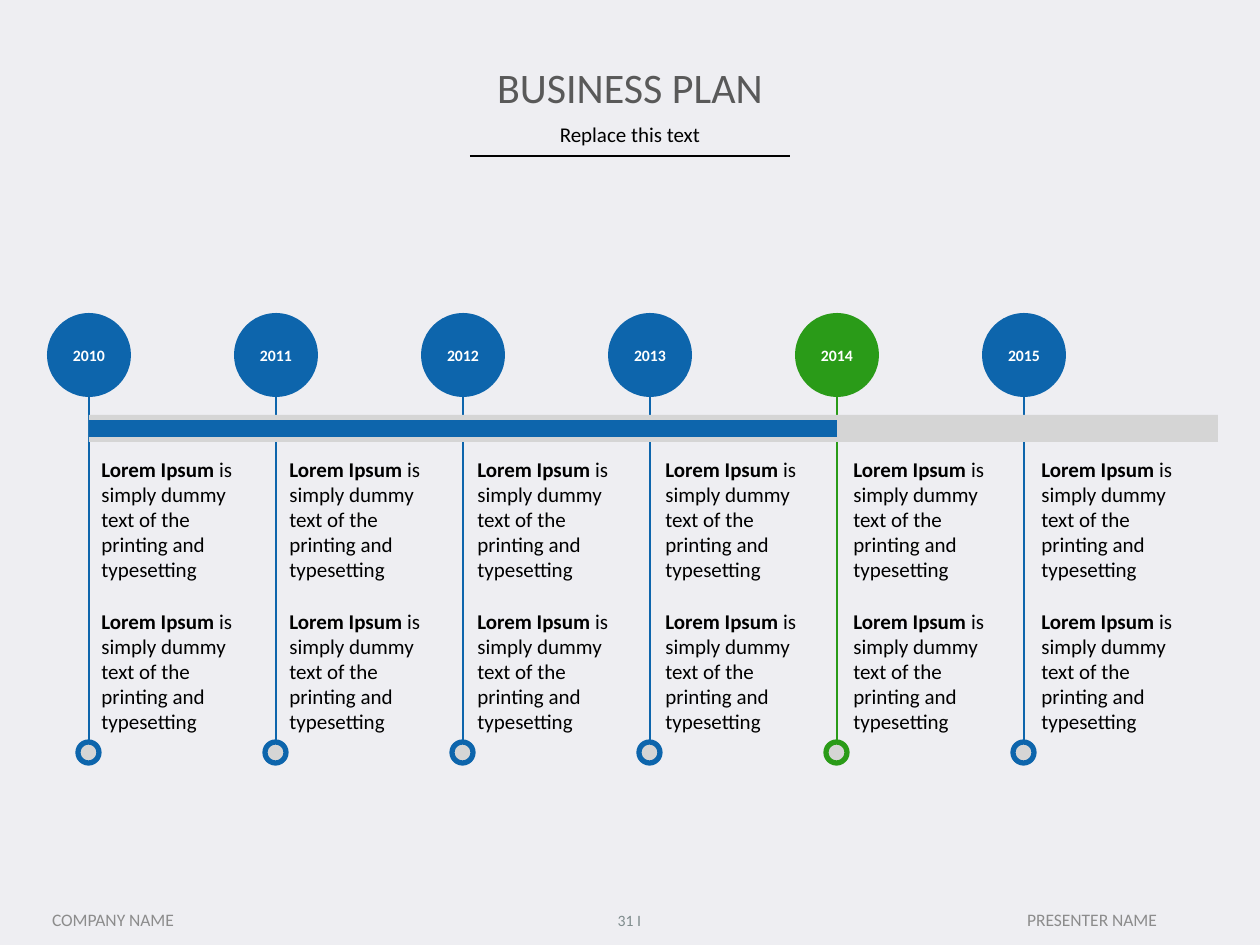
from lxml.etree import SubElement
from pptx import Presentation
from pptx.dml.color import RGBColor
from pptx.enum.shapes import MSO_CONNECTOR as LINE, MSO_SHAPE as SHAPE
from pptx.enum.text import MSO_ANCHOR as ANCHOR, MSO_AUTO_SIZE as FIT, PP_ALIGN as ALIGN
from pptx.oxml.ns import qn
from pptx.util import Inches, Pt

PX = Inches(1) / 126
COLORS = {
    "background": "EEEEF2", "blue": "0D65AC", "green": "2A9B18", "track": "D5D5D5",
    "title": "595959", "text": "000000", "white": "FFFFFF",
    "footer": "8C8C8C", "page": "7F8C8D",
}


def px(*lengths):
    return [round(length * PX) for length in lengths]


def rgb(name):
    return RGBColor.from_string(COLORS[name])


class TimelineSlide:
    """Draws styled elements on one slide of a presentation."""

    def __init__(self, deck, font="Calibri"):
        self.font = font
        self.slide = deck.slides.add_slide(deck.slide_layouts[5])
        fill = self.slide.background.fill
        fill.solid()
        fill.fore_color.rgb = rgb("background")

    def add_runs(self, shape, runs, size, color, align=ALIGN.CENTER, anchor=ANCHOR.MIDDLE,
                 fit=FIT.NONE, spacing=None):
        frame = shape.text_frame
        frame.word_wrap, frame.auto_size, frame.vertical_anchor = True, fit, anchor
        paragraph = frame.paragraphs[0]
        paragraph.alignment = align
        if spacing:
            paragraph.line_spacing = spacing
        for words, bold in runs:
            run = paragraph.add_run()
            run.text = words
            run.font.name, run.font.size, run.font.bold = self.font, Pt(size), bold
            run.font.color.rgb = rgb(color)

    def title(self, words, box, size, color):
        heading = self.slide.shapes.title
        heading.left, heading.top, heading.width, heading.height = px(*box)
        self.add_runs(heading, [(words, False)], size, color)

    def text(self, runs, box, size, color, **layout):
        self.add_runs(self.slide.shapes.add_textbox(*px(*box)), runs, size, color, **layout)

    def line(self, start, end, color, width):
        connector = self.slide.shapes.add_connector(LINE.STRAIGHT, *px(*start, *end))
        connector.line.color.rgb = rgb(color)
        connector.line.width = Pt(width)
        SubElement(connector._element.spPr, qn("a:effectLst"))

    def shape(self, kind, box, fill, outline=None, label=None):
        shape = self.slide.shapes.add_shape(kind, *px(*box))
        shape.shadow.inherit = False
        shape.fill.solid()
        shape.fill.fore_color.rgb = rgb(fill)
        if outline:
            shape.line.color.rgb = rgb(outline)
            shape.line.width = Pt(3)
        else:
            shape.line.fill.background()
        if label:
            self.add_runs(shape, [(label, True)], 9, "white")


def main():
    deck = Presentation()
    deck.slide_width, deck.slide_height = px(1260, 945)
    page = TimelineSlide(deck)

    page.line((470, 156), (790, 156), "text", 1)
    page.title("BUSINESS PLAN", (87, 55, 1086, 63), 24, "title")
    page.text([("Replace this text", False)], (87, 120, 1086, 34), 12, "text",
              anchor=ANCHOR.TOP, spacing=0.8)

    axis_left, year_gap, column_gap = 89, 187, 188
    years = ["2010", "2011", "2012", "2013", "2014", "2015"]
    current = years.index("2014")
    milestones = [
        (year, axis_left + i * year_gap, "green" if i == current else "blue")
        for i, year in enumerate(years)
    ]
    for year, center, color in milestones:
        page.line((center, 383), (center, 763), color, 0.75)
        page.shape(SHAPE.OVAL, (center - 11, 742, 21, 21), "track", outline=color)

    page.shape(SHAPE.RECTANGLE, (axis_left, 415, 1129, 27), "track")
    page.shape(SHAPE.RECTANGLE, (axis_left, 420, current * year_gap, 17), "blue")
    for year, center, color in milestones:
        page.shape(SHAPE.OVAL, (center - 42, 313, 84, 84), color, label=year)

    description = [("Lorem Ipsum ", True),
                   ("is simply dummy text of the printing and typesetting", False)]
    for column in range(len(years)):
        for top in (450, 602):
            page.text(description, (axis_left + column * column_gap, top, 166, 140), 12,
                      "text", align=ALIGN.LEFT, anchor=ANCHOR.TOP, fit=FIT.SHAPE_TO_FIT_TEXT)

    page.text([("COMPANY NAME", False)], (21, 893, 184, 53), 10, "footer")
    page.text([("31 I", False)], (598, 895, 63, 50), 9, "page")
    page.text([("PRESENTER NAME", False)], (945, 893, 294, 53), 10, "footer")

    deck.save("out.pptx")


if __name__ == "__main__":
    main()
